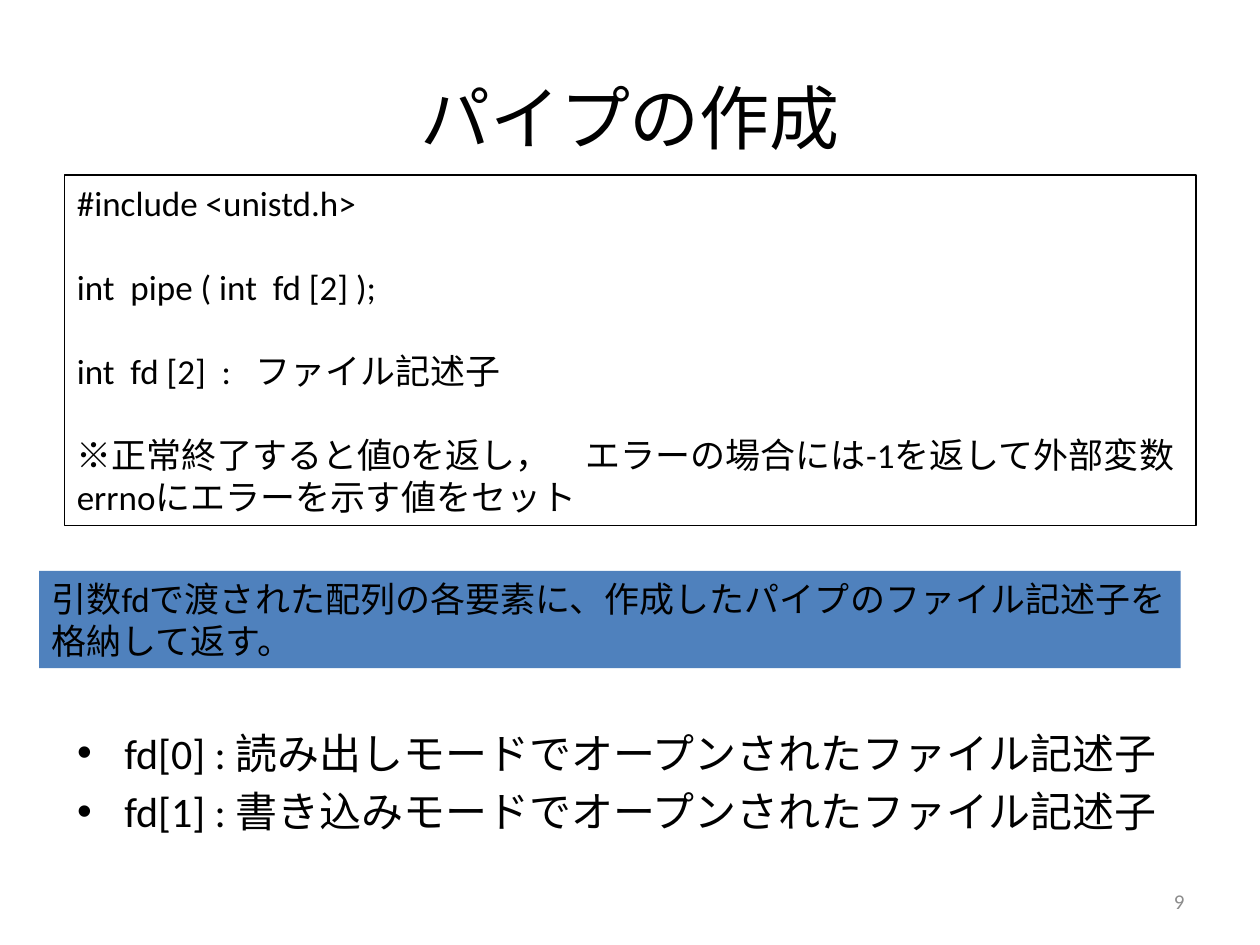
from pptx import Presentation
from pptx.dml.color import RGBColor
from pptx.enum.shapes import MSO_SHAPE
from pptx.enum.text import MSO_ANCHOR, PP_ALIGN
from pptx.util import Cm, Pt

TITLE = "パイプの作成"
CODE = [
    "#include <unistd.h>",
    "int  pipe ( int  fd [2] );",
    "int  fd [2]  :   ファイル記述子",
    "※正常終了すると値0を返し，　エラーの場合には-1を返して"
    "外部変数errnoにエラーを示す値をセット",
]
NOTE = "引数fdで渡された配列の各要素に、作成したパイプのファイル記述子を格納して返す。"
ITEMS = [
    "fd[0] : 読み出しモードでオープンされたファイル記述子",
    "fd[1] : 書き込みモードでオープンされたファイル記述子",
]


def color(code):
    return RGBColor.from_string(code)


def place(shape, box):
    shape.left, shape.top, shape.width, shape.height = (Cm(n) for n in box)


def write(frame, lines, size, ink="000000", align=None, gap=None):
    """Fill a frame with one paragraph per line, gap points apart."""
    frame.text = "\n".join(lines)
    frame.word_wrap = True
    for i, para in enumerate(frame.paragraphs):
        if align is not None:
            para.alignment = align
        if gap is not None:
            para.space_before = Pt(gap if i else 0)
        for run in para.runs:
            run.font.size = Pt(size)
            run.font.name = "Calibri"
            run.font.color.rgb = color(ink)


def add_title(slide, box):
    title = slide.shapes.title
    place(title, box)
    write(title.text_frame, [TITLE], 40, align=PP_ALIGN.CENTER)


def add_list(slide, box):
    body = slide.placeholders[1]
    place(body, box)
    write(body.text_frame, ITEMS, 24)


def add_panel(slide, box, lines, fill=None, line=None, gap=0):
    panel = slide.shapes.add_shape(MSO_SHAPE.RECTANGLE, *(Cm(n) for n in box))
    panel.shadow.inherit = False
    if fill:
        panel.fill.solid()
        panel.fill.fore_color.rgb = color(fill)
    else:
        panel.fill.background()
    if line:
        panel.line.color.rgb = color(line)
        panel.line.width = Pt(0.75)
    else:
        panel.line.fill.background()
    panel.text_frame.vertical_anchor = MSO_ANCHOR.TOP
    write(panel.text_frame, lines, 20, align=PP_ALIGN.LEFT, gap=gap)


def add_number(slide, box):
    label = slide.shapes.add_textbox(*(Cm(n) for n in box))
    label.text_frame.vertical_anchor = MSO_ANCHOR.MIDDLE
    write(label.text_frame, ["9"], 12, "8C8C8C", PP_ALIGN.RIGHT)


def main():
    deck = Presentation()
    deck.slide_width, deck.slide_height = Cm(25.4), Cm(19.05)
    slide = deck.slides.add_slide(deck.slide_layouts[1])
    add_title(slide, (1.27, 0.76, 22.86, 3.18))
    add_list(slide, (1.3, 14.53, 22.86, 2.9))
    add_panel(slide, (1.3, 3.53, 22.81, 7.06), CODE, line="000000", gap=24)
    add_panel(slide, (0.79, 11.51, 23.01, 1.96), [NOTE], fill="4F81BD")
    add_number(slide, (18.21, 17.65, 5.92, 1.02))
    deck.save("out.pptx")


if __name__ == "__main__":
    main()
